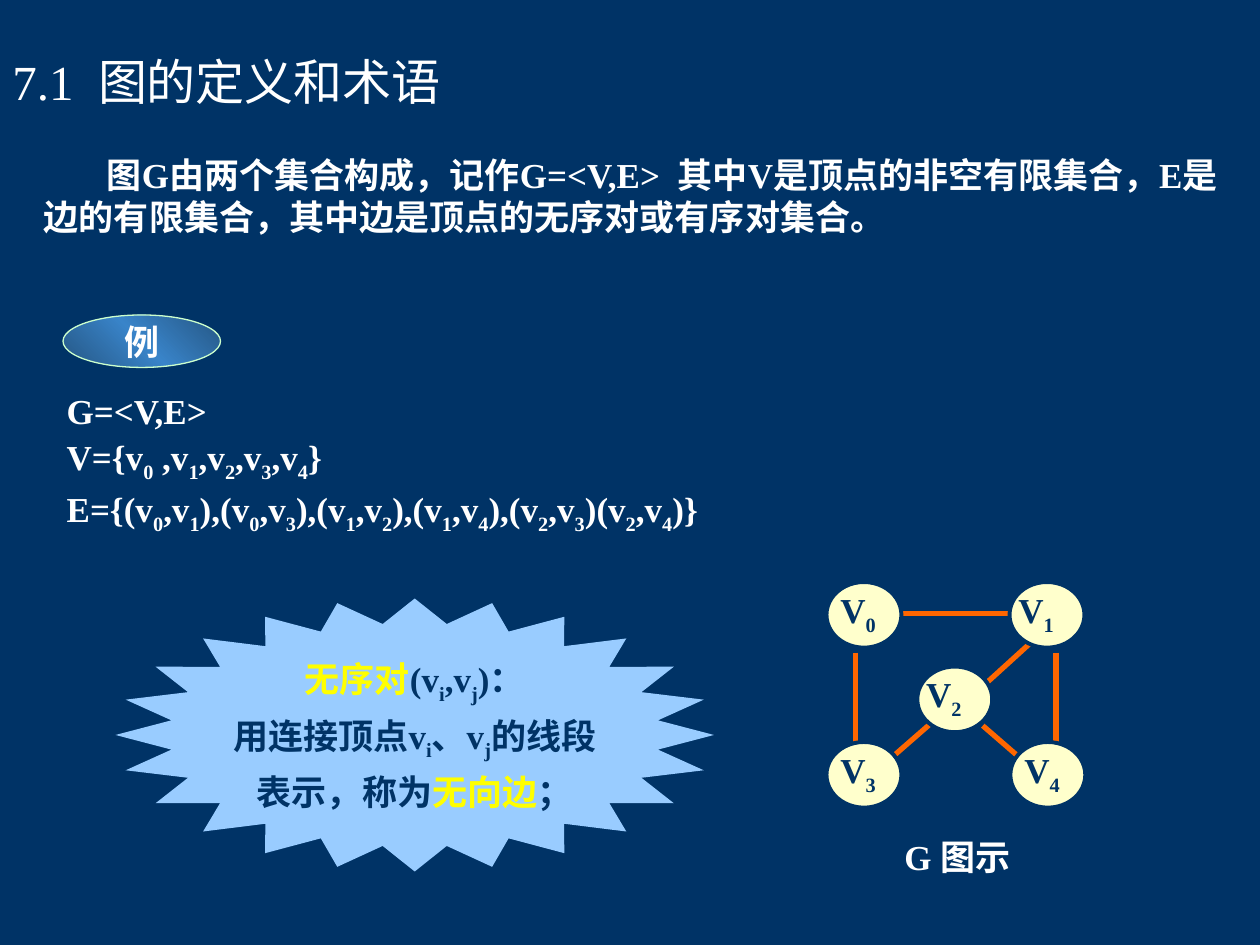
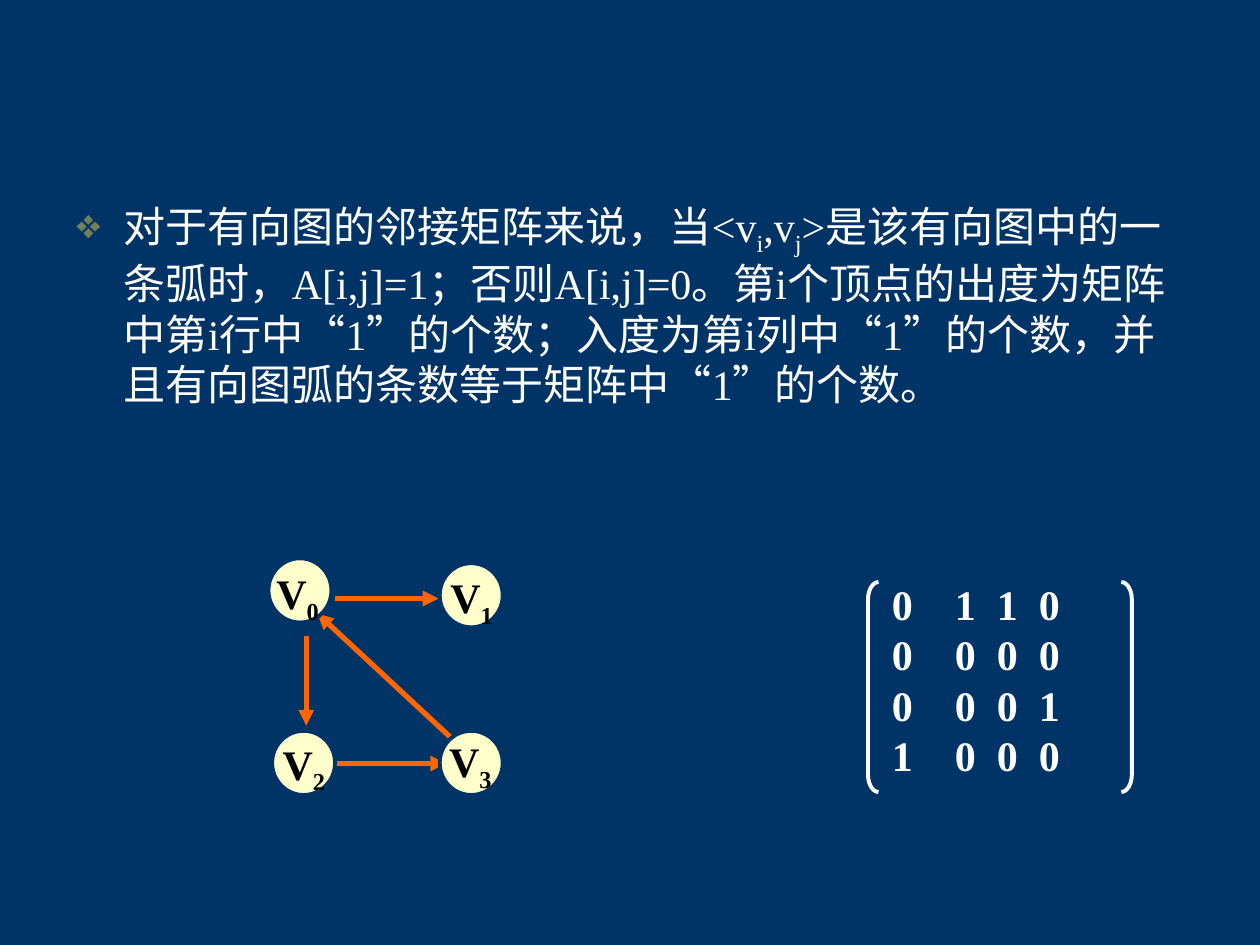
from dataclasses import dataclass

import copy
import pptx
import pptx.dml.color
import pptx.enum.shapes
import pptx.enum.text
import pptx.oxml.ns
import pptx.oxml.xmlchemy
import pptx.util

Pt = pptx.util.Pt
SHAPE = pptx.enum.shapes.MSO_SHAPE
ALIGN = pptx.enum.text.PP_ALIGN
ANCHOR = pptx.enum.text.MSO_ANCHOR
FONT = "Times New Roman"
COLORS = {
    "navy": "003366", "white": "FFFFFF", "black": "000000", "yellow": "FFFF00",
    "sky": "99CCFF", "cream": "FFFFCC", "orange": "FF6600", "mint": "CCFFCC",
    "deep": "255683", "blue": "3984C9", "olive": "6E815B",
}


@dataclass(frozen=True)
class Box:
    x: float
    y: float
    w: float
    h: float

    def pts(self) -> list:
        return [Pt(n) for n in (self.x, self.y, self.w, self.h)]


@dataclass(frozen=True)
class Node:
    """A vertex: its corner and the shift of its label."""
    name: str
    x: float
    y: float
    dx: float
    dy: float = 0


@dataclass(frozen=True)
class Edge:
    x1: float
    y1: float
    x2: float
    y2: float


@dataclass(frozen=True)
class Style:
    """Look of the vertices in one graph."""
    w: float
    h: float
    label: tuple
    size: float
    color: str


def rgb(name: str):
    return pptx.dml.color.RGBColor.from_string(COLORS[name])


def add_xml(parent, tag: str, **attrs):
    node = pptx.oxml.xmlchemy.OxmlElement(tag)
    for key, value in attrs.items():
        node.set(key, str(value))
    parent.append(node)
    return node


def write(frame, text: str, *, size=20, color="white", accent="yellow", bold=True,
          align=ALIGN.LEFT, anchor=ANCHOR.TOP, wrap=True, gap=0, indent=0,
          left=0, bullet=None, tabs=(), inset=7.2) -> None:
    """Fill a frame: _x lowers x, |words| take the accent colour."""
    frame.word_wrap = wrap
    frame.vertical_anchor = anchor
    frame.margin_left, frame.margin_right = Pt(inset), Pt(7.2)
    frame.margin_top = frame.margin_bottom = Pt(3.6)
    for row, line in enumerate(text.split("\n")):
        para = frame.paragraphs[0] if row == 0 else frame.add_paragraph()
        para.alignment = align
        if row and gap:
            para.space_before = Pt(gap)
        props = para._p.get_or_add_pPr()
        if left or indent:
            props.set("marL", str(Pt(left)))
            props.set("indent", str(Pt(indent)))
        if bullet:
            add_xml(add_xml(props, "a:buClr"), "a:srgbClr", val=COLORS["olive"])
            add_xml(props, "a:buChar", char=bullet)
        if tabs:
            stops = add_xml(props, "a:tabLst")
            for stop in tabs:
                add_xml(stops, "a:tab", pos=Pt(stop), algn="l")
        for turn, piece in enumerate(line.split("|")):
            tone = accent if turn % 2 else color
            for part, words in enumerate(piece.split("_")):
                chunks = [(words[:1], True), (words[1:], False)] if part else [(words, False)]
                for chunk, low in chunks:
                    if not chunk:
                        continue
                    run = para.add_run()
                    run.text = chunk
                    run.font.name, run.font.size = FONT, Pt(size)
                    run.font.bold = bold
                    run.font.color.rgb = rgb(tone)
                    if low:
                        run._r.get_or_add_rPr().set("baseline", "-25000")


def add_text(slide, box: Box, text: str, **look) -> None:
    write(slide.shapes.add_textbox(*box.pts()).text_frame, text, **look)


def add_shape(slide, kind, box: Box, fill=None, line=None, width=1.0):
    shape = slide.shapes.add_shape(kind, *box.pts())
    shape.shadow.inherit = False
    if fill:
        shape.fill.solid()
        shape.fill.fore_color.rgb = rgb(fill)
    else:
        shape.fill.background()
    if line:
        shape.line.color.rgb = rgb(line)
        shape.line.width = Pt(width)
    else:
        shape.line.fill.background()
    return shape


def add_edge(slide, edge: Edge, arrow: bool) -> None:
    ends = [Pt(n) for n in (edge.x1, edge.y1, edge.x2, edge.y2)]
    link = slide.shapes.add_connector(pptx.enum.shapes.MSO_CONNECTOR.STRAIGHT, *ends)
    link.line.color.rgb = rgb("orange")
    link.line.width = Pt(3)
    props = link._element.spPr
    if arrow:
        add_xml(props.find(pptx.oxml.ns.qn("a:ln")), "a:tailEnd", type="triangle")
    add_xml(props, "a:effectLst")


def add_graph(slide, nodes: list, edges: list, style: Style, arrow=False) -> None:
    for edge in edges:
        add_edge(slide, edge, arrow)
    for node in nodes:
        add_shape(slide, SHAPE.OVAL, Box(node.x, node.y, style.w, style.h),
                  "cream", "navy", 2.25)
        # The label is set in by a quarter of its size
        add_text(slide, Box(node.x + node.dx, node.y + node.dy, *style.label), node.name,
                 size=style.size, color=style.color, inset=7.2 + style.size / 4)


def add_badge(slide, box: Box, text: str) -> None:
    badge = add_shape(slide, SHAPE.OVAL, box, "blue", "mint", 0.75)
    badge.fill.gradient()
    badge.fill.gradient_angle = 225
    stops = badge._element.spPr.find(pptx.oxml.ns.qn("a:gradFill")).gsLst
    stops.append(copy.deepcopy(stops[0]))
    for stop, tone, place in zip(badge.fill.gradient_stops, ("deep", "blue", "deep"),
                                 (0, 0.5, 1)):
        stop.color.rgb = rgb(tone)
        stop.position = place
    write(badge.text_frame, text, align=ALIGN.CENTER, anchor=ANCHOR.MIDDLE, wrap=False)


def new_slide(deck):
    slide = deck.slides.add_slide(deck.slide_layouts[6])
    slide.background.fill.solid()
    slide.background.fill.fore_color.rgb = rgb("navy")
    return slide


def draw_terms(deck) -> None:
    slide = new_slide(deck)
    # Title and definition
    add_text(slide, Box(0, 37.5, 320, 18), "7.1  图的定义和术语", size=28, bold=False,
             anchor=ANCHOR.MIDDLE)
    add_text(slide, Box(18, 84, 702, 55.5),
             "图G由两个集合构成，记作G=<V,E>  其中V是顶点的非空有限集合，"
             "E是边的有限集合，其中边是顶点的无序对或有序对集合。", indent=36)
    # Example sets
    add_text(slide, Box(31, 219, 658, 91),
             "G=<V,E>\nV={v_0 ,v_1,v_2,v_3,v_4}\n"
             "E={(v_0,v_1),(v_0,v_3),(v_1,v_2),(v_1,v_4),(v_2,v_3)(v_2,v_4)}", gap=2.5)
    # Burst
    burst = add_shape(slide, SHAPE.STAR_24_POINT, Box(66, 342, 342, 156), "sky")
    burst.adjustments[0] = 0.41
    write(burst.text_frame,
          "|无序对|(v_i,v_j)：\n用连接顶点v_i、v_j的线段\n表示，称为|无向边|；",
          color="navy", align=ALIGN.CENTER, anchor=ANCHOR.MIDDLE, wrap=False, gap=5)
    # Undirected graph
    top, low = 332.6, 424
    nodes = [Node("V_0", 472.3, top, -4.3), Node("V_4", 577.4, low, -4.3),
             Node("V_3", 472.3, low, -4.3), Node("V_1", 576.9, top, -7.2),
             Node("V_2", 524.2, 380.9, -7.2)]
    edges = [Edge(489, 373, 489, 425.5), Edge(514, 350.6, 583, 350.6),
             Edge(603.4, 373, 603.4, 425.5), Edge(533.5, 412, 508.3, 434),
             Edge(588.2, 368, 563.8, 390.2), Edge(561.6, 414.7, 583.2, 433.4)]
    add_graph(slide, nodes, edges, Style(42.8, 37.5, (60, 34.5), 20, "navy"))
    add_badge(slide, Box(36, 180, 90, 30), "例")
    add_text(slide, Box(468, 474, 158.4, 31.7), "G 图示", align=ALIGN.CENTER)


def draw_matrix(deck) -> None:
    slide = new_slide(deck)
    # Rule for directed graphs
    add_text(slide, Box(36.7, 110.9, 648, 378),
             "对于有向图的邻接矩阵来说，当<v_i,v_j>是该有向图中的一条弧时，"
             "A[i,j]=1；否则A[i,j]=0。第i个顶点的出度为矩阵中第i行中“1”的个数；"
             "入度为第i列中“1”的个数，并且有向图弧的条数等于矩阵中“1”的个数。",
             size=24, bold=False, left=27, indent=-27, bullet="❖")
    # Matrix between brackets
    rows = ("0110", "0000", "0001", "1000")
    add_text(slide, Box(502.6, 326.9, 140.4, 122.4),
             "\n".join("\t".join(row) for row in rows), size=24, tabs=(36, 60, 84))
    for kind, x in ((SHAPE.LEFT_BRACKET, 496), (SHAPE.RIGHT_BRACKET, 640.8)):
        side = add_shape(slide, kind, Box(x, 332.6, 6, 120), None, "white", 2.25)
        side.adjustments[0] = 1.67
    # Directed graph
    nodes = [Node("V_0", 153.4, 319, -8.7, 2), Node("V_1", 251.3, 321.8, -7.2, 1.5),
             Node("V_2", 155.5, 417.6, -7.2, 0.7), Node("V_3", 251.3, 417.6, -7.9, -0.7)]
    edges = [Edge(175, 363.6, 175, 414.7), Edge(191.5, 436.3, 254.9, 436.3),
             Edge(191.5, 342, 250.6, 342), Edge(265.7, 429, 181.4, 350.6)]
    add_graph(slide, nodes, edges, Style(36, 36.7, (51, 40.3), 24, "black"), arrow=True)


def main() -> None:
    deck = pptx.Presentation()
    deck.slide_width, deck.slide_height = Pt(720), Pt(540)
    draw_terms(deck)
    draw_matrix(deck)
    deck.save("out.pptx")


if __name__ == "__main__":
    main()
